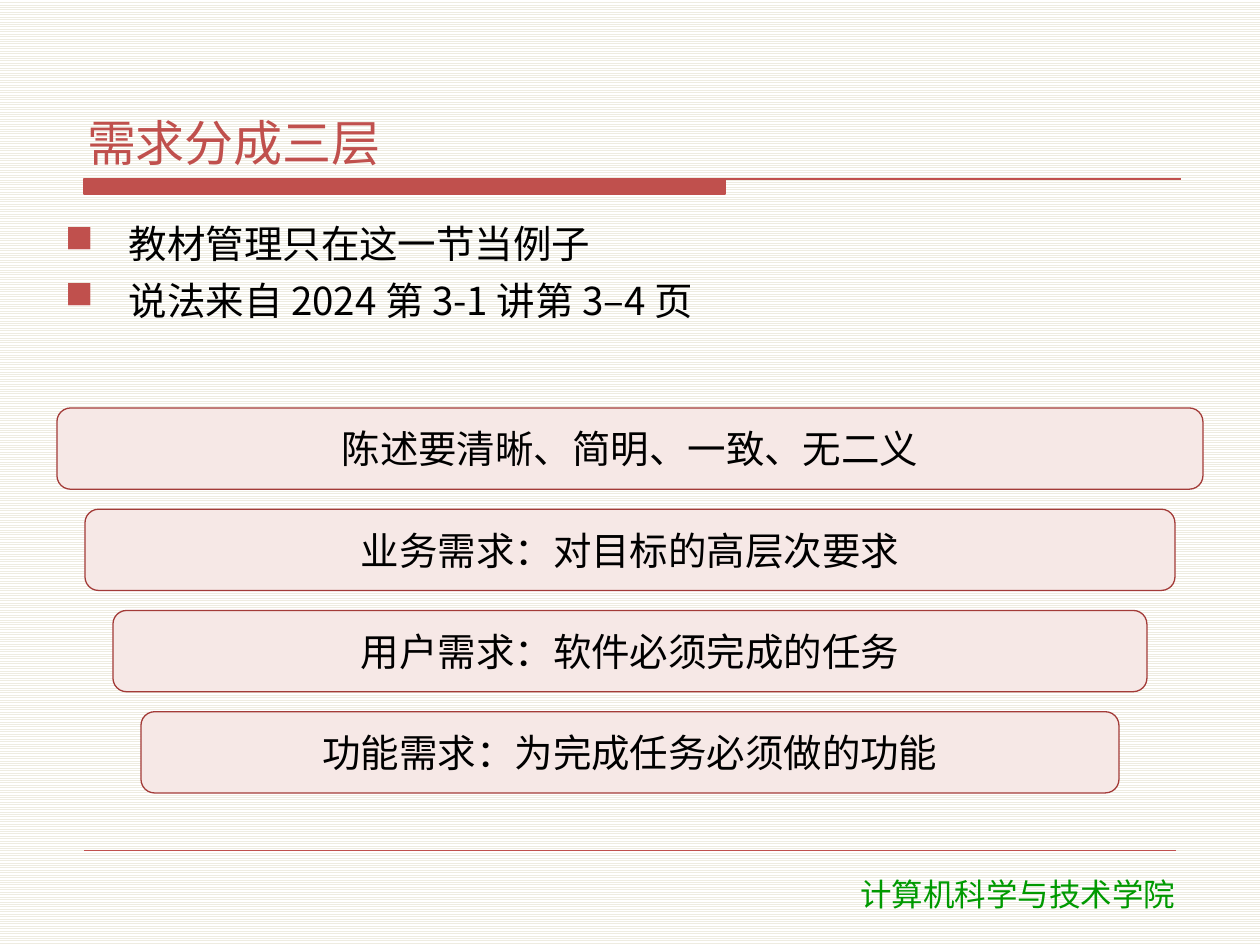
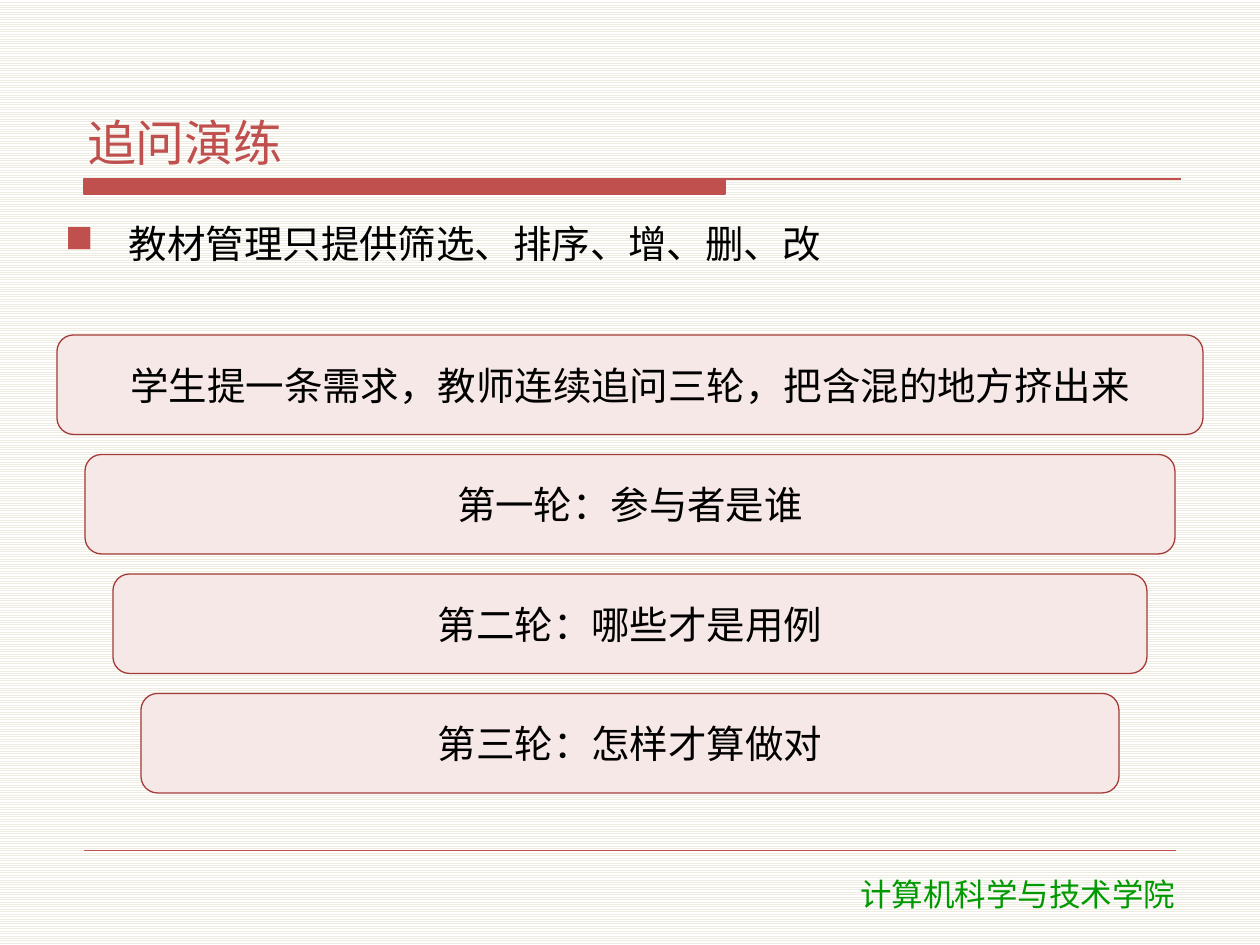
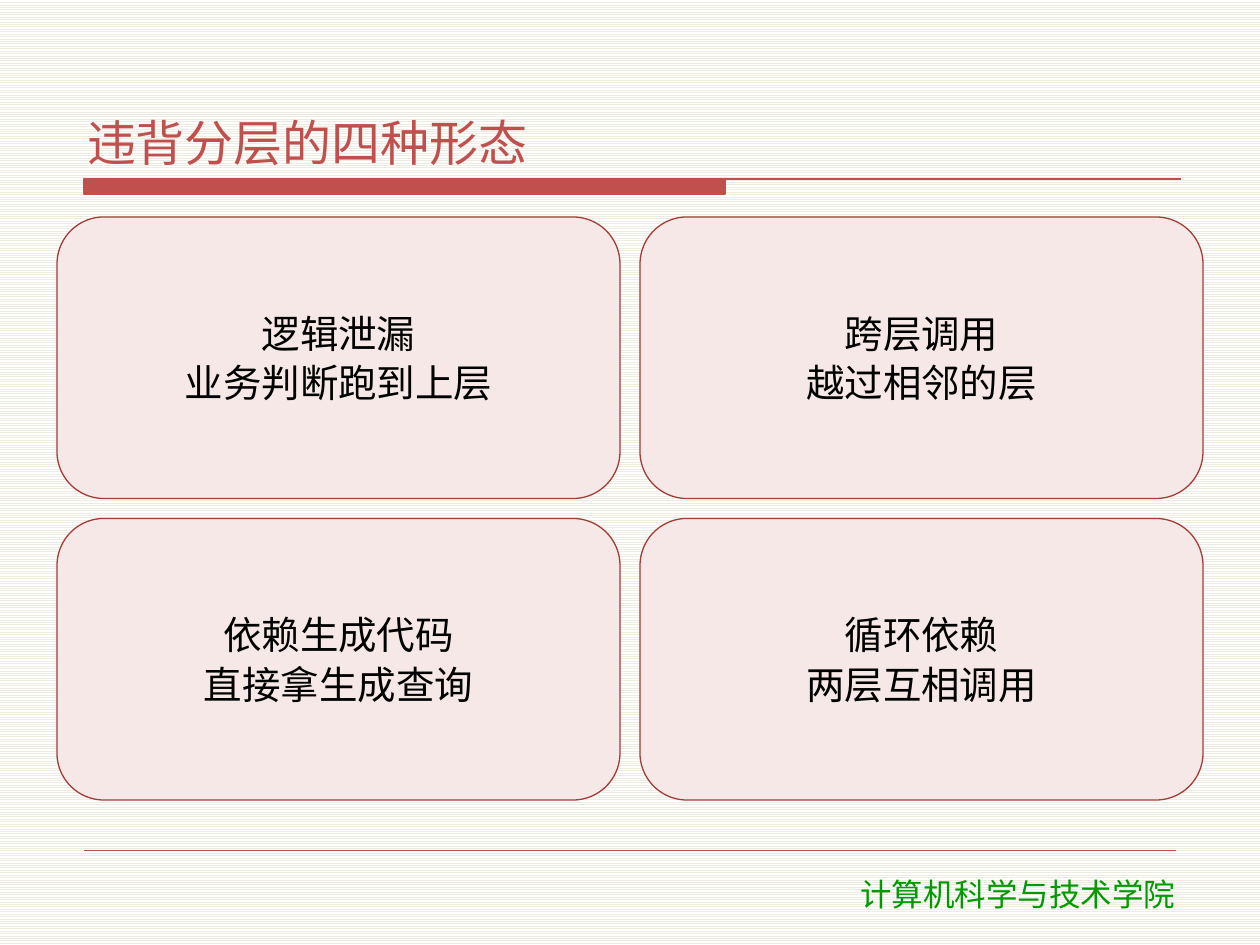
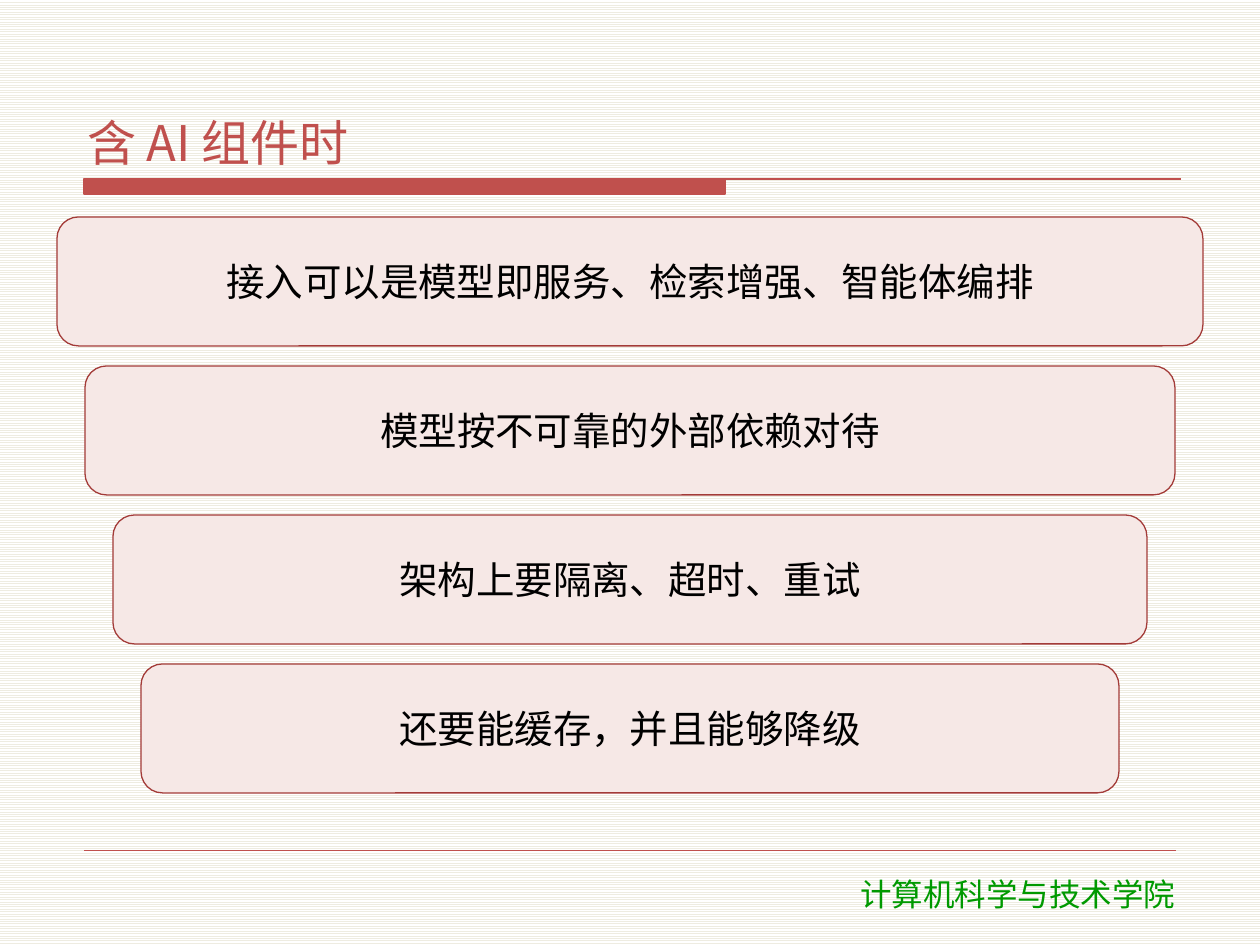
"""Build four lecture slides on layered requirements and layering faults."""
from lxml import etree
from pptx import Presentation
from pptx.dml.color import RGBColor
from pptx.enum.dml import MSO_PATTERN
from pptx.enum.shapes import MSO_CONNECTOR, MSO_SHAPE
from pptx.enum.text import MSO_ANCHOR, PP_ALIGN
from pptx.oxml.ns import qn
from pptx.util import Emu, Pt

SLIDES = [
    {
        "title": "需求分成三层",
        "bullets": ["教材管理只在这一节当例子", "说法来自 2024 第 3-1 讲第 3–4 页"],
        "steps": [
            "陈述要清晰、简明、一致、无二义",
            "业务需求：对目标的高层次要求",
            "用户需求：软件必须完成的任务",
            "功能需求：为完成任务必须做的功能",
        ],
    },
    {
        "title": "追问演练",
        "bullets": ["教材管理只提供筛选、排序、增、删、改"],
        "steps": [
            "学生提一条需求，教师连续追问三轮，把含混的地方挤出来",
            "第一轮：参与者是谁",
            "第二轮：哪些才是用例",
            "第三轮：怎样才算做对",
        ],
    },
    {
        "title": "违背分层的四种形态",
        "cards": [
            ["逻辑泄漏", "业务判断跑到上层"],
            ["跨层调用", "越过相邻的层"],
            ["依赖生成代码", "直接拿生成查询"],
            ["循环依赖", "两层互相调用"],
        ],
    },
    {
        "title": "含 AI 组件时",
        "steps": [
            "接入可以是模型即服务、检索增强、智能体编排",
            "模型按不可靠的外部依赖对待",
            "架构上要隔离、超时、重试",
            "还要能缓存，并且能够降级",
        ],
    },
]
FOOTER = "计算机科学与技术学院"

SCALE = 914400 / 126
PAGE_WIDTH, PAGE_HEIGHT = 1260, 945
LEFT, TOP, WIDTH = 57, 217, 1146
STEPS_BOTTOM, CARDS_BOTTOM = 793, 800
GAP, STEP_INSET = 20, 28
BULLET_INDENT, BULLET_PITCH, BULLET_PAD, BULLET_GAP = 64, 73, 35, 10
RULE_LEFT, RULE_TOP, RULE_RIGHT = 84, 179, 1181
BAR_RIGHT, BAR_BOTTOM = 725, 194
FOOTER_Y, FOOTER_RIGHT = 850, 1176

ACCENT, EDGE, PANEL = "C0504D", "A33B38", "F6E8E6"
INK, GREEN, STRIPE, PAPER = "000000", "009900", "EEECE1", "FFFFFF"
SANS, LATIN = "Noto Sans CJK SC", "DejaVu Sans"
CENTER, LEFT_ALIGN = PP_ALIGN.CENTER, PP_ALIGN.LEFT
MIDDLE, BOTTOM, UPPER = MSO_ANCHOR.MIDDLE, MSO_ANCHOR.BOTTOM, MSO_ANCHOR.TOP
ROUNDED, STRAIGHT = MSO_SHAPE.ROUNDED_RECTANGLE, MSO_CONNECTOR.STRAIGHT
STRIPES = MSO_PATTERN.LIGHT_HORIZONTAL

TITLE = {"size": 28, "color": ACCENT, "font": SANS, "align": LEFT_ALIGN, "anchor": BOTTOM}
BULLETS = {"size": 22, "color": INK, "font": SANS, "align": LEFT_ALIGN, "anchor": UPPER,
           "before": 4, "bullet": "■"}
PANEL_TEXT = {"size": 22, "color": INK, "font": SANS, "align": CENTER, "anchor": MIDDLE}
FOOTER_TEXT = {"size": 18, "color": GREEN, "font": LATIN, "align": CENTER, "anchor": UPPER,
               "after": 0, "insets": (13, 6)}


def px(value):
    return Emu(round(value * SCALE))


def color(value):
    return RGBColor.from_string(value)


def set_values(target, values):
    for name, value in values.items():
        setattr(target, name, value)


def add_bullet(para, mark):
    properties = para._p.get_or_add_pPr()
    properties.set("marL", str(px(BULLET_INDENT)))
    properties.set("indent", str(px(-BULLET_INDENT)))
    tint = etree.SubElement(properties, qn("a:buClr"))
    etree.SubElement(tint, qn("a:srgbClr"), val=ACCENT)
    etree.SubElement(properties, qn("a:buChar"), char=mark)


def write(box, lines, style):
    frame = box.text_frame
    side, edge = style.get("insets", (8, 3))
    set_values(frame, {
        "word_wrap": True, "vertical_anchor": style["anchor"],
        "margin_left": px(side), "margin_right": px(side),
        "margin_top": px(edge), "margin_bottom": px(edge),
    })
    for index, line in enumerate(lines):
        para = frame.add_paragraph() if index else frame.paragraphs[0]
        if "bullet" in style:
            add_bullet(para, style["bullet"])
        set_values(para, {
            "alignment": style["align"],
            "space_before": Pt(style.get("before", 0) if index else 0),
            "space_after": Pt(style.get("after", 2)),
        })
        span = para.add_run()
        span.text = line
        set_values(span.font, {"size": Pt(style["size"]), "name": style["font"]})
        span.font.color.rgb = color(style["color"])
        etree.SubElement(span._r.get_or_add_rPr(), qn("a:ea"), typeface=style["font"])


def add_text(page, area, lines, style):
    write(page.shapes.add_textbox(*map(px, area)), lines, style)


def paint(shape, fill, line):
    shape.shadow.inherit = False
    shape.fill.solid()
    shape.fill.fore_color.rgb = color(fill)
    shape.line.color.rgb = color(line)
    shape.line.width = Pt(0.75)


def add_panel(page, area, lines):
    panel = page.shapes.add_shape(ROUNDED, *map(px, area))
    paint(panel, PANEL, EDGE)
    write(panel, lines, PANEL_TEXT)


def add_frame(page, title):
    backdrop = page.background.fill
    backdrop.patterned()
    backdrop.pattern = STRIPES
    backdrop.fore_color.rgb = color(STRIPE)
    backdrop.back_color.rgb = color(PAPER)

    outline = page.shapes.build_freeform(RULE_LEFT, RULE_TOP, SCALE)
    outline.add_line_segments([(BAR_RIGHT, RULE_TOP), (BAR_RIGHT, BAR_BOTTOM),
                               (RULE_LEFT, BAR_BOTTOM)], close=True)
    outline.move_to(RULE_LEFT, RULE_TOP)
    outline.add_line_segments([(RULE_RIGHT, RULE_TOP)], close=False)
    paint(outline.convert_to_shape(), ACCENT, ACCENT)

    ends = RULE_LEFT, FOOTER_Y, FOOTER_RIGHT, FOOTER_Y
    rule = page.shapes.add_connector(STRAIGHT, *map(px, ends))
    rule.line.color.rgb = color(ACCENT)
    rule.line.width = Pt(0.25)
    etree.SubElement(rule._element.spPr, qn("a:effectLst"))

    add_text(page, (765, 869, 506, 50), [FOOTER], FOOTER_TEXT)
    add_text(page, (79, 42, 1102, 132), [title], TITLE)


def add_bullets(page, lines):
    height = BULLET_PAD + BULLET_PITCH * len(lines)
    add_text(page, (LEFT, TOP, WIDTH, height), lines, BULLETS)
    return TOP + height + BULLET_GAP


def add_steps(page, steps, top):
    height = (STEPS_BOTTOM - top + GAP) / len(steps) - GAP
    for index, step in enumerate(steps):
        inset = index * STEP_INSET
        area = LEFT + inset, top + index * (height + GAP), WIDTH - 2 * inset, height
        add_panel(page, area, [step])


def add_cards(page, cards):
    width = (WIDTH - GAP) / 2
    height = (CARDS_BOTTOM - TOP - GAP) / 2
    for index, lines in enumerate(cards):
        row, column = divmod(index, 2)
        area = LEFT + column * (width + GAP), TOP + row * (height + GAP), width, height
        add_panel(page, area, lines)


def main():
    deck = Presentation()
    set_values(deck, {"slide_width": px(PAGE_WIDTH), "slide_height": px(PAGE_HEIGHT)})
    for content in SLIDES:
        page = deck.slides.add_slide(deck.slide_layouts[6])
        add_frame(page, content["title"])
        top = add_bullets(page, content["bullets"]) if "bullets" in content else TOP
        if "steps" in content:
            add_steps(page, content["steps"], top)
        if "cards" in content:
            add_cards(page, content["cards"])
    deck.save("out.pptx")


if __name__ == "__main__":
    main()
